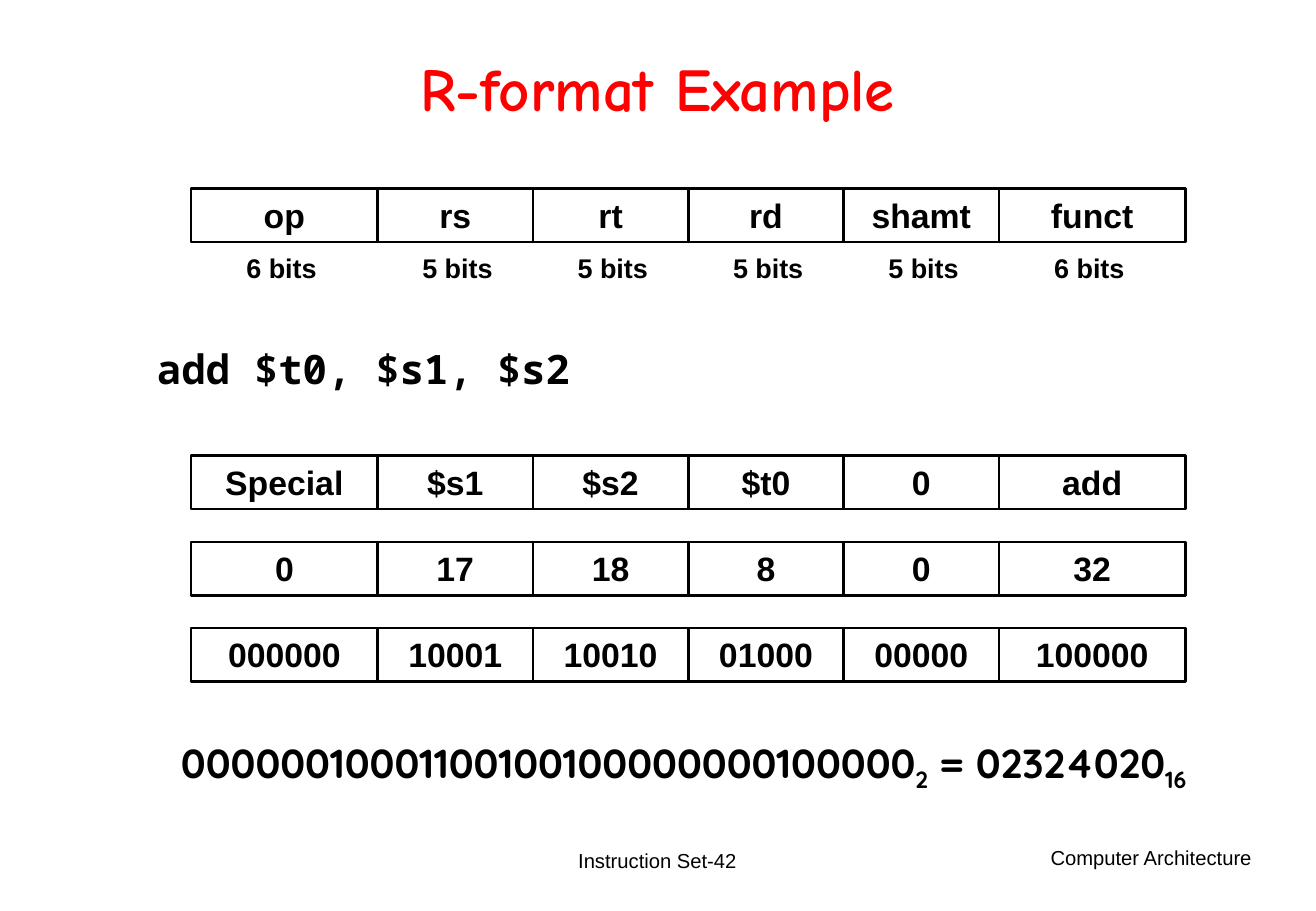
"""Build the slide that encodes an R-format instruction."""
from lxml import etree
from pptx import Presentation
from pptx.dml.color import RGBColor
from pptx.enum.shapes import MSO_SHAPE
from pptx.enum.text import MSO_ANCHOR, MSO_AUTO_SIZE, PP_ALIGN
from pptx.oxml.ns import qn
from pptx.util import Cm, Pt

BLACK = RGBColor(0, 0, 0)
RED = RGBColor(255, 0, 0)
RECT = MSO_SHAPE.RECTANGLE
TOP, MIDDLE = MSO_ANCHOR.TOP, MSO_ANCHOR.MIDDLE
FIXED = MSO_AUTO_SIZE.NONE
LEFT, CENTER, RIGHT = PP_ALIGN.LEFT, PP_ALIGN.CENTER, PP_ALIGN.RIGHT

HEAD = {"name": "Comic Neue", "size": Pt(36), "bold": True}
CODE = {"name": "Noto Sans Mono", "size": Pt(24), "bold": True}
CELL = {"name": "Arial", "size": Pt(20), "bold": True}
SMALL = {"name": "Arial", "size": Pt(16), "bold": True}
FOOT = {"name": "Arial", "size": Pt(12), "bold": False}
WORD = {"name": "Quicksand", "size": Pt(24), "bold": True}


def write(shape, text, look, align=CENTER, anchor=TOP, color=BLACK):
    frame = shape.text_frame
    setup = {"word_wrap": True, "auto_size": FIXED, "vertical_anchor": anchor}
    for key, value in setup.items():
        setattr(frame, key, value)
    para = frame.paragraphs[0]
    para.alignment = align
    run = para.add_run()
    run.text = text
    for key, value in look.items():
        setattr(run.font, key, value)
    run.font.color.rgb = color
    return run


def label(left, top, width, height):
    box = slide.shapes.add_textbox(Cm(left), Cm(top), Cm(width), Cm(height))
    box.text_frame.margin_left = box.text_frame.margin_right = 0
    return box


deck = Presentation()
deck.slide_width, deck.slide_height = Cm(27.53), Cm(19.05)
slide = deck.slides.add_slide(deck.slide_layouts[1])

title, body = slide.placeholders
for holder, top, height in [(title, 0.69, 2.51), (body, 7.19, 1.78)]:
    holder.left, holder.top = Cm(2.06), Cm(top)
    holder.width, holder.height = Cm(23.39), Cm(height)

write(title, "R-format Example", HEAD, anchor=MIDDLE, color=RED)
title.text_frame.paragraphs[0].line_spacing = 0.85

line = body.text_frame.paragraphs[0]
props = line._p.get_or_add_pPr()
props.set("marL", str(Cm(0.97)))
props.set("indent", "0")
etree.SubElement(props, qn("a:buNone"))
line.line_spacing = 0.9
line.space_before = Pt(0)
write(body, "add $t0, $s1, $s2", CODE, LEFT)

bits = [6, 5, 5, 5, 5, 6]
widths = {5: 3.25, 6: 3.9}
insets = {5: 0.68, 6: 0.9}
rows = [
    (3.94, ["op", "rs", "rt", "rd", "shamt", "funct"]),
    (9.53, ["Special", "$s1", "$s2", "$t0", "0", "add"]),
    (11.33, ["0", "17", "18", "8", "0", "32"]),
    (13.13, ["000000", "10001", "10010", "01000", "00000", "100000"]),
]
left = 4
for col, size in enumerate(bits):
    wide = widths[size]
    for top, names in rows:
        cell = slide.shapes.add_shape(RECT, Cm(left), Cm(top), Cm(wide), Cm(1.12))
        cell.shadow.inherit = False
        cell.fill.background()
        cell.line.color.rgb = BLACK
        cell.line.width = Pt(1.5)
        write(cell, names[col], CELL)
    write(label(left + insets[size], 5.13, 1.98, 0.94), f"{size} bits", SMALL)
    left += wide

total = label(2.06, 15.32, 24.49, 1.4)
total.text_frame.paragraphs[0].line_spacing = 0.9
for text, base in [
    ("00000010001100100100000000100000", "0"),
    ("2", "-25000"),
    (" = 02324020", "0"),
    ("16", "-25000"),
]:
    run = write(total, text, WORD)
    run._r.get_or_add_rPr().set("baseline", base)

write(label(9.4, 17.35, 8.71, 1.27), "Instruction Set-42", FOOT, anchor=MIDDLE)
write(label(20.62, 17.55, 5.57, 1.27), "Computer Architecture", FOOT, RIGHT)

deck.save("out.pptx")
